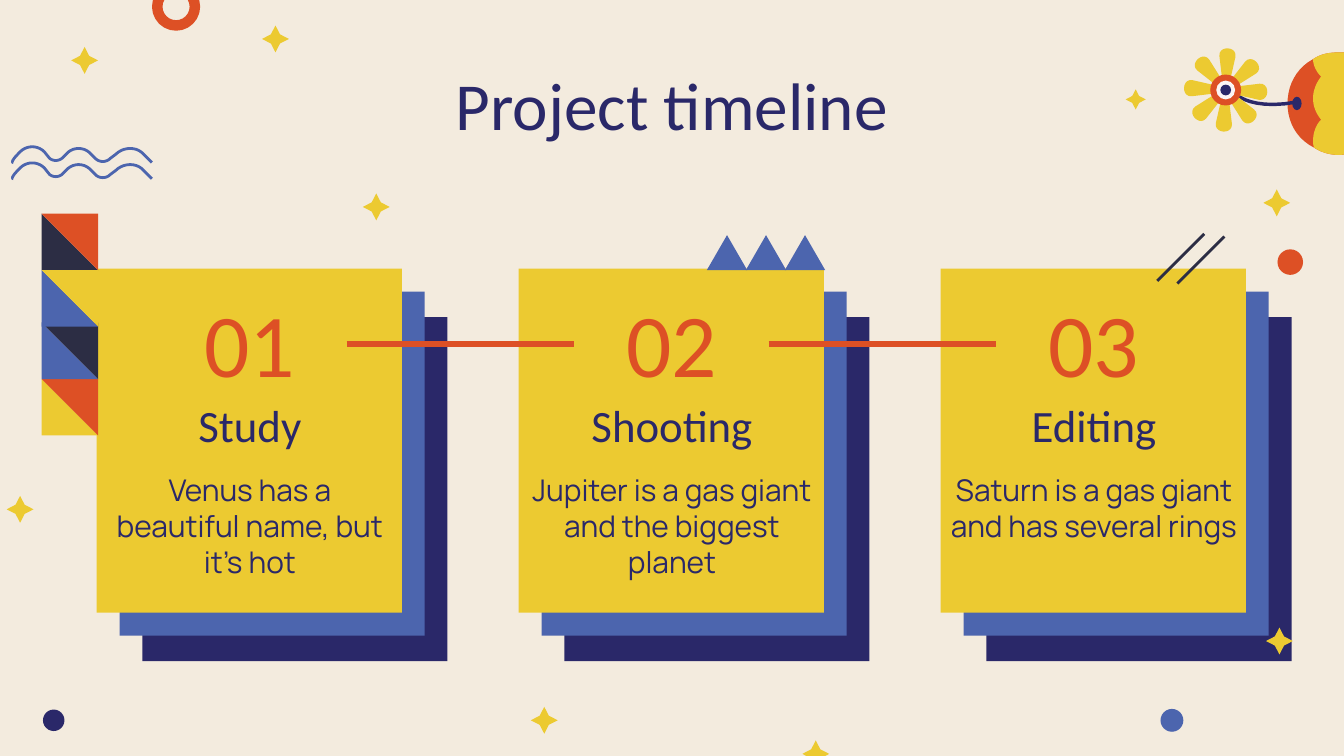
from math import cos, radians, sin
from lxml.etree import SubElement
from pptx import Presentation
from pptx.dml.color import RGBColor
from pptx.enum.shapes import MSO_CONNECTOR, MSO_SHAPE
from pptx.enum.text import MSO_ANCHOR, PP_ALIGN
from pptx.oxml.ns import qn
from pptx.util import Inches, Pt

WIDE = Inches(10)
HIGH = WIDE * 9 // 16
CELL = WIDE // 10
NAVY, BLUE, GOLD, RED = "2A2869", "4C65AE", "ECCA31", "DD5025"
DARK, CREAM, WHITE = "2C2D44", "F3EBDE", "FBF4F4"
STEPS = 10


def cells(*sizes):
    return [round(size * CELL) for size in sizes]


def tint(code):
    return RGBColor.from_string(code)


def paint(shape, fill=None, line=None, weight=1.5):
    shape.shadow.inherit = False
    if fill:
        shape.fill.solid()
        shape.fill.fore_color.rgb = tint(fill)
    else:
        shape.fill.background()
    if line:
        shape.line.color.rgb = tint(line)
        shape.line.width = Pt(weight)
    else:
        shape.line.fill.background()


def block(slide, kind, box, **style):
    shape = slide.shapes.add_shape(kind, *cells(*box))
    paint(shape, **style)
    return shape


def disc(slide, x, y, wide, high, **style):
    block(slide, MSO_SHAPE.OVAL, (x - wide / 2, y - high / 2, wide, high), **style)


def rule(slide, start, end, color, weight):
    line = slide.shapes.add_connector(MSO_CONNECTOR.STRAIGHT, *cells(*start, *end))
    line.line.color.rgb = tint(color)
    line.line.width = Pt(weight)
    SubElement(line._element.spPr, qn("a:effectLst"))


def trace(slide, x, y, start, parts, close=True, **style):
    spots = [start]
    for part in parts:
        if len(part) == 2:
            spots.append(part)
            continue
        a, b, c, d = spots[-1], part[:2], part[2:4], part[4:]
        for step in range(1, STEPS + 1):
            t = step / STEPS
            u = 1 - t
            spots.append(tuple(u**3 * a[i] + 3 * u * u * t * b[i]
                               + 3 * u * t * t * c[i] + t**3 * d[i] for i in (0, 1)))
    spots = [cells(x + px, y + py) for px, py in spots]
    form = slide.shapes.build_freeform(*spots[0], scale=1.0)
    form.add_line_segments(spots[1:], close=close)
    paint(form.convert_to_shape(), **style)


def write(slide, text, box, size=16, font="Calibri", color=NAVY,
          anchor=MSO_ANCHOR.TOP, after=0):
    frame = slide.shapes.add_textbox(*cells(*box)).text_frame
    frame.word_wrap = True
    frame.vertical_anchor = anchor
    frame.margin_left = frame.margin_right = Inches(0.1)
    frame.margin_top = frame.margin_bottom = Inches(0.1)
    para = frame.paragraphs[0]
    para.alignment = PP_ALIGN.CENTER
    para.space_after = Pt(after)
    run = para.add_run()
    run.text = text
    run.font.size = Pt(size)
    run.font.name = font
    run.font.color.rgb = tint(color)


def stack(slide, box):
    x, y, wide, high = box
    for right, down, color in ((0.34, 0.36, NAVY), (0.17, 0.17, BLUE), (0, 0, GOLD)):
        block(slide, MSO_SHAPE.RECTANGLE, (x + right, y + down, wide, high), fill=color)


def label(slide, box, mark, name, note):
    x, y = box[0] - 0.04, box[1]
    write(slide, mark, (x, y + 0.04, 2.36, 0.93), size=48, color=RED)
    write(slide, name, (x, y + 0.86, 2.36, 0.42), size=24)
    write(slide, note, (x, y + 1.41, 2.36, 1.02), font="Manrope", after=16)


def star(slide, x, y, size=0.2):
    shape = block(slide, MSO_SHAPE.STAR_4_POINT,
                  (x - size / 2, y - size / 2, size, size), fill=GOLD)
    shape.adjustments[0] = 0.24


def wave(slide, x, y):
    trace(slide, x, y, (1.05, 0.13), [
        (0.99, 0.07), (0.94, 0.01, 0.84, 0.01, 0.78, 0.07), (0.74, 0.1),
        (0.71, 0.13, 0.66, 0.13, 0.63, 0.1), (0.6, 0.07),
        (0.55, 0.01, 0.46, 0.01, 0.41, 0.07), (0.38, 0.1),
        (0.35, 0.12, 0.32, 0.12, 0.29, 0.1), (0.25, 0.05),
        (0.2, 0, 0.12, 0, 0.07, 0.05), (0.02, 0.1, 0, 0.13, 0.02, 0.13),
    ], close=False, line=BLUE)


def tiles(slide, x, y, side=0.42):
    for top, low, high in ((0, DARK, RED), (1.23, GOLD, RED),
                           (0.81, BLUE, DARK), (0.42, BLUE, GOLD)):
        for bend, color in (((0, side), low), ((side, 0), high)):
            trace(slide, x, y + top, (0, 0), [bend, (side, side)], fill=color)


def peaks(slide, x, y):
    for i in range(3):
        block(slide, MSO_SHAPE.ISOSCELES_TRIANGLE,
              (x + 0.29 * i, y, 0.3, 0.26), fill=BLUE)


def planet(slide, x, y):
    edge = [(0.42, 0), (0.42, 0.76), (0.34, 0.77, 0.26, 0.75, 0.2, 0.71)]
    trace(slide, x, y, (0, 0.38), [(0, 0.25, 0.06, 0.12, 0.19, 0.05),
                                   (0.25, 0.01, 0.31, 0, 0.38, 0), *edge,
                                   (0.06, 0.64, 0, 0.51, 0, 0.38)], fill=RED)
    trace(slide, x, y, (0.19, 0.66), [(0.19, 0.6, 0.21, 0.54, 0.25, 0.5),
                                      (0.21, 0.45, 0.19, 0.4, 0.19, 0.34),
                                      (0.19, 0.29, 0.21, 0.23, 0.25, 0.18),
                                      (0.22, 0.15, 0.19, 0.1, 0.19, 0.05),
                                      (0.25, 0.01, 0.31, 0, 0.38, 0), *edge,
                                      (0.19, 0.69, 0.19, 0.67, 0.19, 0.66)], fill=GOLD)


def flower(slide, x, y):
    trace(slide, x, y, (0.09, 0.04), [(0.09, 0.04, 0.2, 0.15, 0.53, 0.09)],
          close=False, line=NAVY, weight=1.85)
    petal = [(0.02, -0.02), (0.25, -0.06), (0.33, -0.07, 0.33, 0.07, 0.25, 0.06),
             (0.02, 0.02)]
    for i in range(8):
        c, s = cos(radians(45 * i + 3)), sin(radians(45 * i + 3))
        leaf = [tuple(value for px, py in zip(part[::2], part[1::2])
                      for value in (px * c - py * s, px * s + py * c)) for part in petal]
        trace(slide, x, y, leaf[0], leaf[1:], fill=GOLD)
    for size, color in ((0.23, RED), (0.14, WHITE), (0.08, NAVY)):
        disc(slide, x, y, size, size, fill=color)
    disc(slide, x + 0.53, y + 0.1, 0.07, 0.1, fill=NAVY)


def decor(slide):
    star(slide, 8.45, 0.74, 0.15)
    for x, y in ((9.52, 4.77), (9.5, 1.51), (0.15, 3.79), (0.63, 0.45),
                 (2.05, 0.29), (4.05, 5.36), (6.07, 5.61), (2.8, 1.54)):
        star(slide, x, y)
    for x, y, size, color in ((9.6, 1.95, 0.19, RED), (8.72, 5.36, 0.17, BLUE),
                              (0.4, 5.36, 0.16, NAVY)):
        disc(slide, x, y, size, size, fill=color)
    disc(slide, 1.31, 0.05, 0.28, 0.28, line=RED, weight=5.62)
    for y in (1.08, 1.2):
        wave(slide, 0.08, y)
    planet(slide, 9.58, 0.39)
    flower(slide, 9.12, 0.67)
    tiles(slide, 0.31, 1.59)
    peaks(slide, 5.26, 1.75)
    for x, y in ((8.61, 1.74), (8.76, 1.76)):
        rule(slide, (x + 0.35, y), (x, y + 0.35), DARK, 1.5)


def main():
    deck = Presentation()
    deck.slide_width, deck.slide_height = WIDE, HIGH
    slide = deck.slides.add_slide(deck.slide_layouts[6])
    slide.background.fill.solid()
    slide.background.fill.fore_color.rgb = tint(CREAM)
    steps = [("01", "Study", "Venus has a beautiful name, but it’s hot"),
             ("02", "Shooting", "Jupiter is a gas giant and the biggest planet"),
             ("03", "Editing", "Saturn is a gas giant and has several rings")]
    boxes = [(0.72 + 3.14 * i, 2, 2.27, 2.56) for i in range(len(steps))]
    for box in boxes:
        stack(slide, box)
    decor(slide)
    write(slide, "Project timeline", (0.78, 0.26, 8.44, 1.03), size=36,
          anchor=MSO_ANCHOR.MIDDLE)
    for box, step in zip(boxes, steps):
        label(slide, box, *step)
    for x, y, wide, high in boxes[:-1]:
        rule(slide, (x + 1.86, y + 0.56), (x + 3.55, y + 0.56), RED, 3)
    deck.save("out.pptx")


if __name__ == "__main__":
    main()
